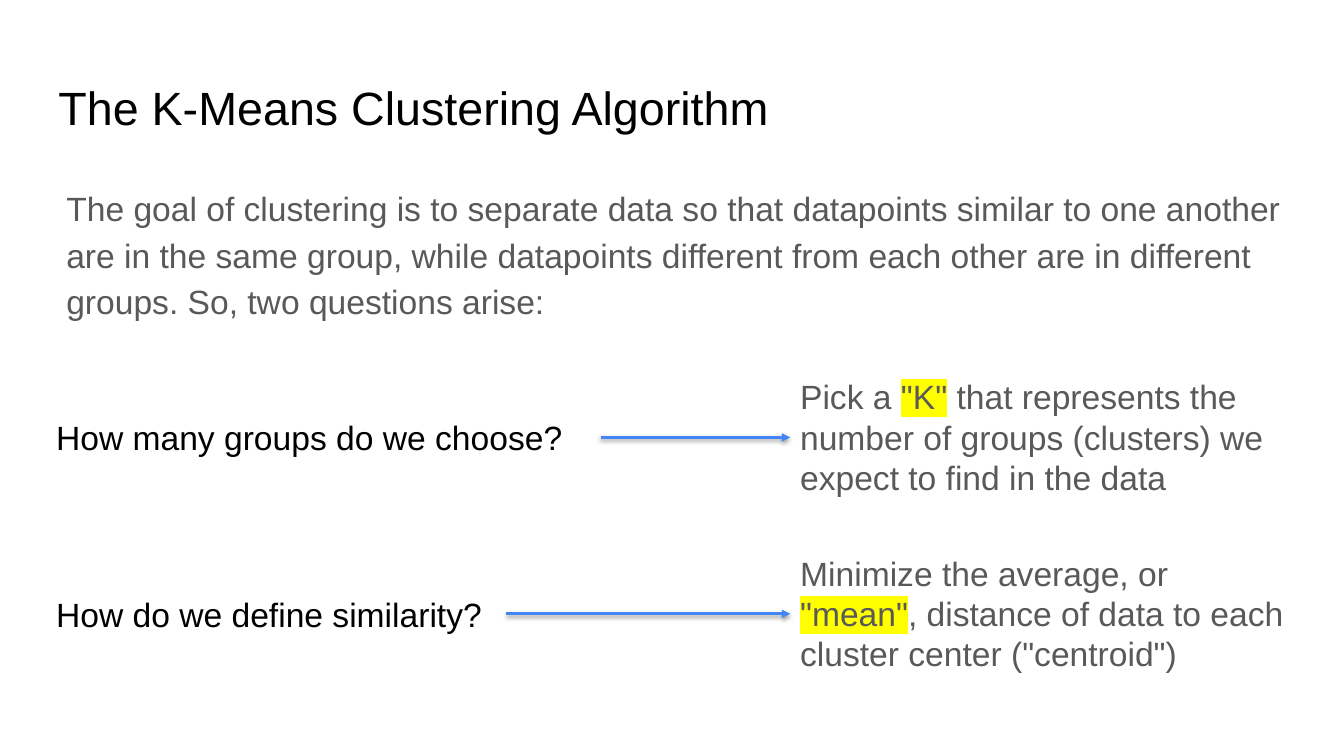
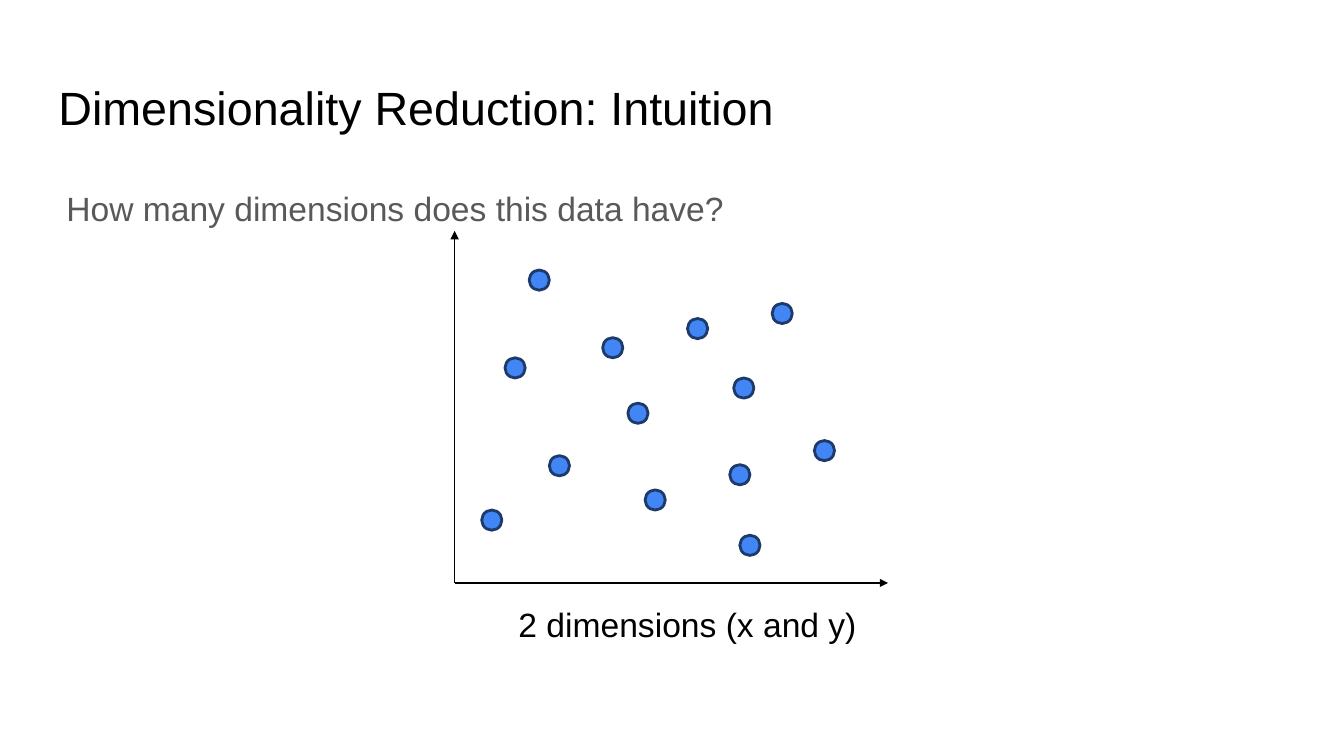
from dataclasses import dataclass

from lxml.etree import SubElement
from pptx import Presentation
from pptx.dml.color import RGBColor as Rgb
from pptx.enum.shapes import MSO_CONNECTOR as Connector, MSO_SHAPE as Preset
from pptx.enum.text import MSO_ANCHOR as Anchor, MSO_AUTO_SIZE as AutoSize, PP_ALIGN as Align
from pptx.oxml.ns import qn
from pptx.util import Emu, Inches, Pt


@dataclass(frozen=True)
class Theme:
    font: str = "Arial"
    ink: str = "000000"
    gray: str = "595959"
    blue: str = "4285F4"
    navy: str = "1D3A6B"
    marker: str = "FFFF00"
    title_size: float = 33.3
    text_size: float = 24
    thin: float = 1
    thick: float = 2


theme = Theme()
presentation = Presentation()
presentation.slide_width, presentation.slide_height = Inches(13.333), Inches(7.5)
cell = presentation.slide_height / 36


def grid(*values):
    return [Emu(round(value * cell)) for value in values]


def write_text(shape, pieces, colour, size=theme.text_size, insets=(0.48, 0.24, 0.48, 0.24),
               align=Align.LEFT, spacing=1.0):
    left, top, right, bottom = grid(*insets)
    frame_format = {
        "word_wrap": True, "auto_size": AutoSize.NONE, "vertical_anchor": Anchor.TOP,
        "margin_left": left, "margin_top": top, "margin_right": right, "margin_bottom": bottom,
    }
    for name, value in frame_format.items():
        setattr(shape.text_frame, name, value)
    paragraph = shape.text_frame.paragraphs[0]
    for name, value in {"alignment": align, "line_spacing": spacing}.items():
        setattr(paragraph, name, value)
    for index, piece in enumerate(pieces):
        run = paragraph.add_run()
        run.text = piece
        run.font.color.rgb = Rgb.from_string(colour)
        if index % 2:
            highlight = SubElement(run.font._element, qn("a:highlight"))
            SubElement(highlight, qn("a:srgbClr"), val=theme.marker)
        for name, value in {"size": Pt(size), "name": theme.font}.items():
            setattr(run.font, name, value)


margin, content_width = 2.16, 59.6
padding = 0.62
openings = [
    ("The K-Means Clustering Algorithm",
     "The goal of clustering is to separate data so that datapoints similar to one another are in "
     "the same group, while datapoints different from each other are in different groups. "
     "So, two questions arise:", 8.06),
    ("Dimensionality Reduction: Intuition", "How many dimensions does this data have?", 3.5),
]
slides = []
for title, introduction, height in openings:
    slide = presentation.slides.add_slide(presentation.slide_layouts[5])
    slides.append(slide)
    heading = slide.shapes.title
    places = zip(("left", "top", "width", "height"), grid(margin, 3.12, content_width, 4))
    for name, value in places:
        setattr(heading, name, value)
    write_text(heading, [title], theme.ink, theme.title_size, [padding] * 4)
    body = slide.shapes.add_textbox(*grid(margin, 8.06, content_width, height))
    write_text(body, [introduction], theme.gray, insets=(1, padding, padding, padding), spacing=1.15)

clustering, dimensions = slides
arrows = []

question_left, answer_left, answer_width = 2.2, 37.63, 24.14
question_height, answer_height = 2.4, 6.3
first_row, row_step = 20.83, 8.4
questions = [
    ("How many groups do we choose?", 26.4,
     ["Pick a ", '"K"', " that represents the number of groups (clusters) we expect to find in the data"]),
    ("How do we define similarity?", 21.9,
     ["Minimize the average, or ", '"mean"', ', distance of data to each cluster center ("centroid")']),
]
for index, (question, width, answer) in enumerate(questions):
    middle = first_row + index * row_step
    boxes = [
        (question_left, width, question_height, [question], theme.ink),
        (answer_left, answer_width, answer_height, answer, theme.gray),
    ]
    for left, box_width, height, pieces, colour in boxes:
        box = clustering.shapes.add_textbox(*grid(left, middle - height / 2, box_width, height))
        write_text(box, pieces, colour)
    ends = (question_left + width, middle, answer_left, middle)
    arrows.append((clustering, ends, theme.blue, theme.thick, True))

origin_x, origin_y = 21.65, 27.76
for end in [(42.29, origin_y), (origin_x, 11)]:
    arrows.append((dimensions, (origin_x, origin_y, *end), theme.ink, theme.thin, False))

dot_size = 0.96
dots = [
    (22.94, 24.29), (26.16, 21.7), (28.7, 16.08), (24.05, 17.04), (30.72, 23.33),
    (25.2, 12.86), (32.74, 15.17), (29.9, 19.2), (34.75, 22.13), (35.23, 25.49),
    (36.77, 14.45), (34.94, 18), (38.78, 20.98),
]
for left, top in dots:
    dot = dimensions.shapes.add_shape(Preset.OVAL, *grid(left, top, dot_size, dot_size))
    dot.shadow.inherit = False
    dot.fill.solid()
    dot.fill.fore_color.rgb = Rgb.from_string(theme.blue)
    dot.line.color.rgb = Rgb.from_string(theme.navy)
    dot.line.width = Pt(theme.thick)

caption = dimensions.shapes.add_textbox(*grid(19.3, 28.51, 26.88, 2.4))
write_text(caption, ["2 dimensions (x and y)"], theme.ink, align=Align.CENTER)

for slide, ends, colour, width, shadowed in arrows:
    arrow = slide.shapes.add_connector(Connector.STRAIGHT, *grid(*ends))
    arrow.line.color.rgb = Rgb.from_string(colour)
    arrow.line.width = Pt(width)
    SubElement(arrow.line._get_or_add_ln(), qn("a:tailEnd"), type="triangle")
    effects = SubElement(arrow._element.spPr, qn("a:effectLst"))
    if shadowed:
        shadow = SubElement(effects, qn("a:outerShdw"), blurRad="40000", dist="20000",
                            dir="5400000", rotWithShape="0")
        shade = SubElement(shadow, qn("a:srgbClr"), val=theme.ink)
        SubElement(shade, qn("a:alpha"), val="38000")

presentation.save("out.pptx")
